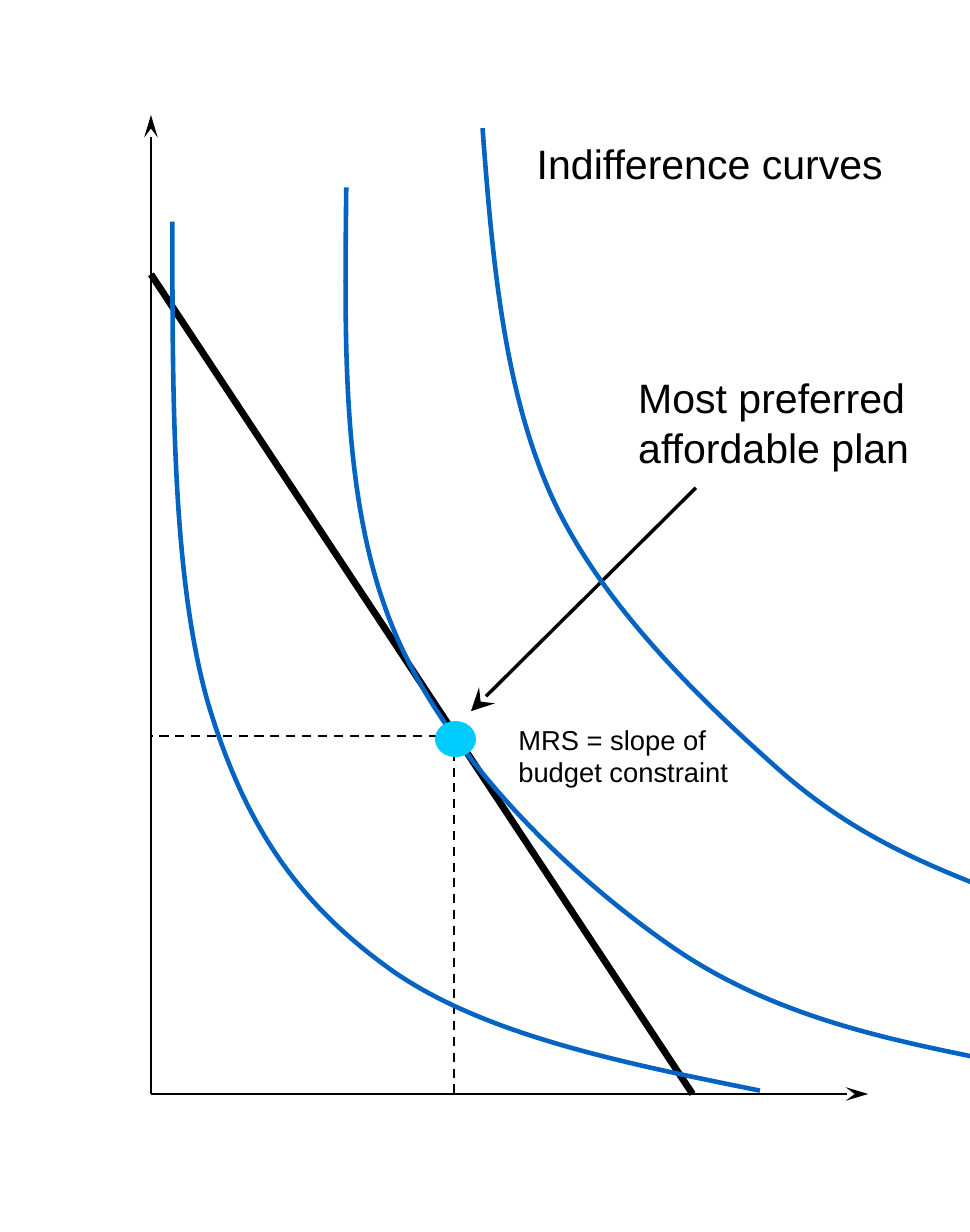
from dataclasses import dataclass

from pptx import Presentation
from pptx.dml.color import RGBColor
from pptx.enum.dml import MSO_LINE_DASH_STYLE as Dash
from pptx.enum.shapes import MSO_CONNECTOR as Conn, MSO_SHAPE as Shape
from pptx.enum.text import MSO_AUTO_SIZE as AutoSize
from pptx.oxml.ns import qn
from pptx.util import Emu, Inches, Pt
from lxml.etree import SubElement

COLORS = {"ink": "000000", "curve": "0563C1", "plan": "00CCFF"}
FONT = "Arial"

prs = Presentation()
prs.slide_width, prs.slide_height = Emu(5400675), Inches(7.5)
s = prs.slides.add_slide(prs.slide_layouts[6])

Point = tuple[float, float]  # percent of slide width, percent of slide height


@dataclass
class Line:
    start: Point
    end: Point
    width: float = 1
    head: str = ""  # arrowhead width: "med" or "lg"
    dashed: bool = False


@dataclass
class Label:
    at: Point
    size: Point
    lines: list[str]
    points: int
    wrap: bool = False
    inset: bool = True


def emu(point: Point) -> tuple[int, int]:
    x, y = point
    return round(prs.slide_width * x / 100), round(prs.slide_height * y / 100)


def rgb(name: str) -> RGBColor:
    return RGBColor.from_string(COLORS[name])


def set_all(target, values: dict) -> None:
    for name, value in values.items():
        setattr(target, name, value)


def draw_line(line: Line) -> None:
    c = s.shapes.add_connector(Conn.STRAIGHT, *emu(line.start), *emu(line.end))
    c.line.color.rgb = rgb("ink")
    c.line.width = Pt(line.width)
    if line.dashed:
        c.line.dash_style = Dash.DASH
    if line.head:
        SubElement(c.line._get_or_add_ln(), qn("a:tailEnd"),
                   type="stealth", w=line.head, len="lg")
    SubElement(c._element.spPr, qn("a:effectLst"))


def draw_label(label: Label) -> None:
    tf = s.shapes.add_textbox(*emu(label.at), *emu(label.size)).text_frame
    set_all(tf, {"word_wrap": label.wrap,
                 "auto_size": AutoSize.SHAPE_TO_FIT_TEXT})
    if not label.inset:
        set_all(tf, {f"margin_{side}": 0
                     for side in ("left", "top", "right", "bottom")})
    for i, text in enumerate(label.lines):
        p = tf.paragraphs[0] if i == 0 else tf.add_paragraph()
        r = p.add_run()
        r.text = text
        set_all(r.font, {"name": FONT, "size": Pt(label.points)})
        r.font.color.rgb = rgb("ink")


def draw_curve(points: list[Point]) -> None:
    """Draw a start point followed by Bezier triples: two controls, one end."""
    start, *rest = map(emu, points)
    builder = s.shapes.build_freeform(*start)
    builder.add_line_segments(rest, close=False)
    sp = builder.convert_to_shape()
    # Join every three straight segments into one cubic segment
    segments = sp._element.xpath(".//a:lnTo")
    for i in range(0, len(segments), 3):
        cubic = SubElement(segments[i].getparent(), qn("a:cubicBezTo"))
        for segment in segments[i:i + 3]:
            cubic.append(segment[0])
            segment.getparent().remove(segment)
    sp.fill.background()
    sp.line.color.rgb = rgb("curve")
    sp.line.width = Pt(2)
    sp.shadow.inherit = False


ORIGIN_X, ORIGIN_Y = 15.57, 88.8
PLAN_X, PLAN_Y = 46.77, 59.73

LINES = [
    # Axes
    Line((ORIGIN_X, ORIGIN_Y), (ORIGIN_X, 9.33), head="med"),
    Line((ORIGIN_X, ORIGIN_Y), (89.51, ORIGIN_Y), head="med"),
    # Budget constraint
    Line((ORIGIN_X, 22.27), (71.4, ORIGIN_Y), width=3),
    # Guides from the chosen plan to the axes
    Line((PLAN_X, PLAN_Y), (PLAN_X, ORIGIN_Y), dashed=True),
    Line((PLAN_X, PLAN_Y), (ORIGIN_X, PLAN_Y), dashed=True),
    # Pointer to the chosen plan
    Line((71.74, 39.6), (48.56, 57.73), width=1.5, head="lg"),
]

LABELS = [
    Label((55.33, 11.2), (36.72, 4), ["Indifference curves"], 18, inset=False),
    Label((64.13, 29.6), (32.83, 9.47),
          ["Most preferred", "affordable plan"], 18),
    Label((51.78, 58), (37.06, 6.67),
          ["MRS = slope of", "budget constraint"], 12, wrap=True),
]

# Indifference curves, from lowest to highest
CURVES = [
    [(17.77, 18),
     (17.77, 32.53), (17.77, 47.07), (21.49, 57.2),
     (25.38, 67.33), (30.96, 73.47), (40.44, 78.8),
     (49.92, 84), (64.13, 86.27), (78.34, 88.53)],
    [(35.7, 15.2),
     (35.53, 28.27), (35.19, 41.2), (40.78, 51.47),
     (46.36, 61.73), (58.71, 71.07), (69.2, 76.8),
     (79.7, 82.53), (91.54, 84.4), (103.55, 86.27)],
    [(49.75, 10.4),
     (50.76, 21.07), (51.95, 31.87), (57.02, 40.53),
     (62.1, 49.2), (72.59, 57.07), (80.2, 62.4),
     (87.82, 67.73), (95.26, 70.13), (102.71, 72.4)],
]

for line in LINES:
    draw_line(line)
for label in LABELS:
    draw_label(label)
for curve in CURVES:
    draw_curve(curve)

# Most preferred affordable plan
dot = s.shapes.add_shape(Shape.OVAL, *emu((44.84, 58.53)), *emu((4.23, 2.93)))
dot.fill.solid()
dot.fill.fore_color.rgb = rgb("plan")
dot.line.fill.background()
dot.shadow.inherit = False

prs.save("out.pptx")
